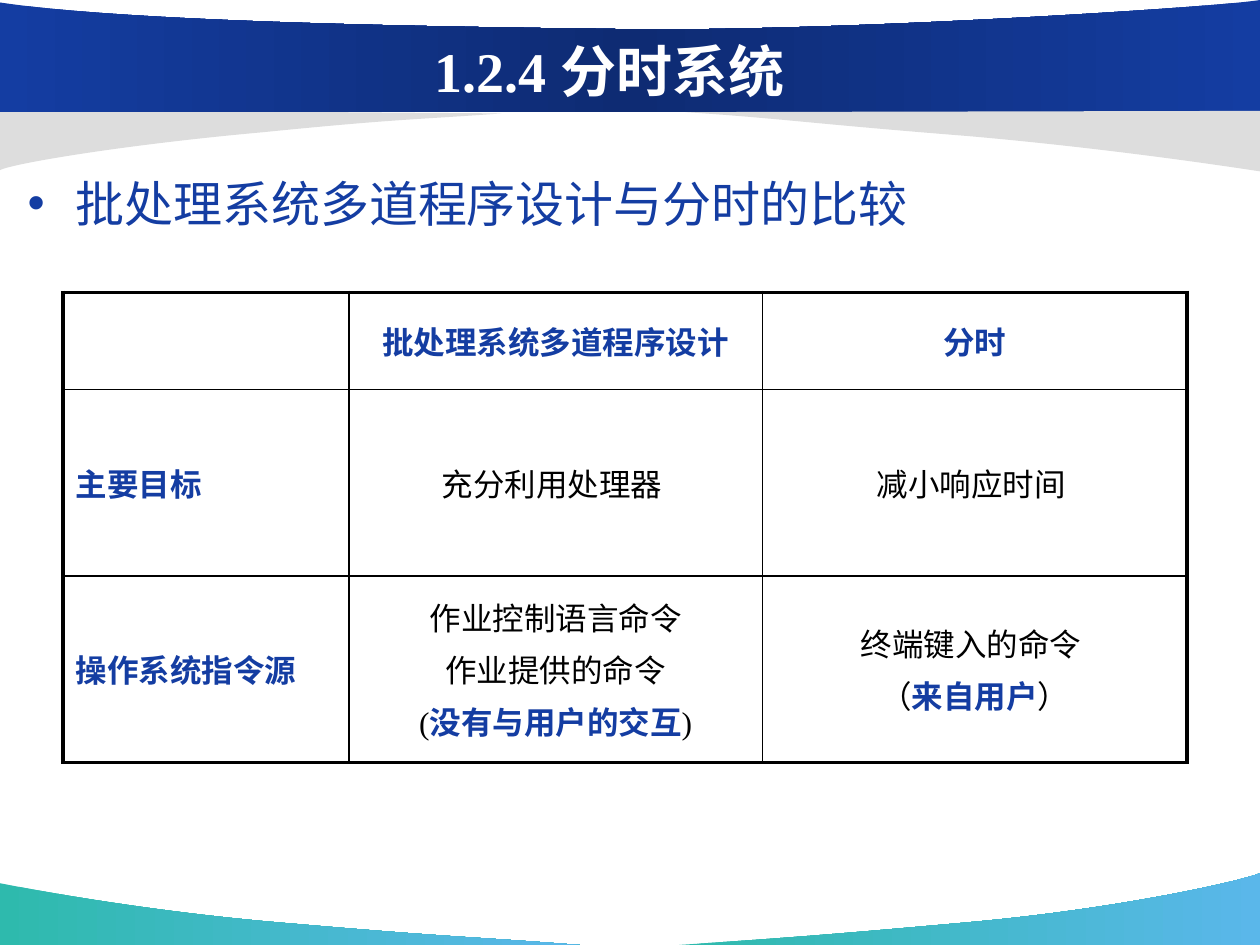
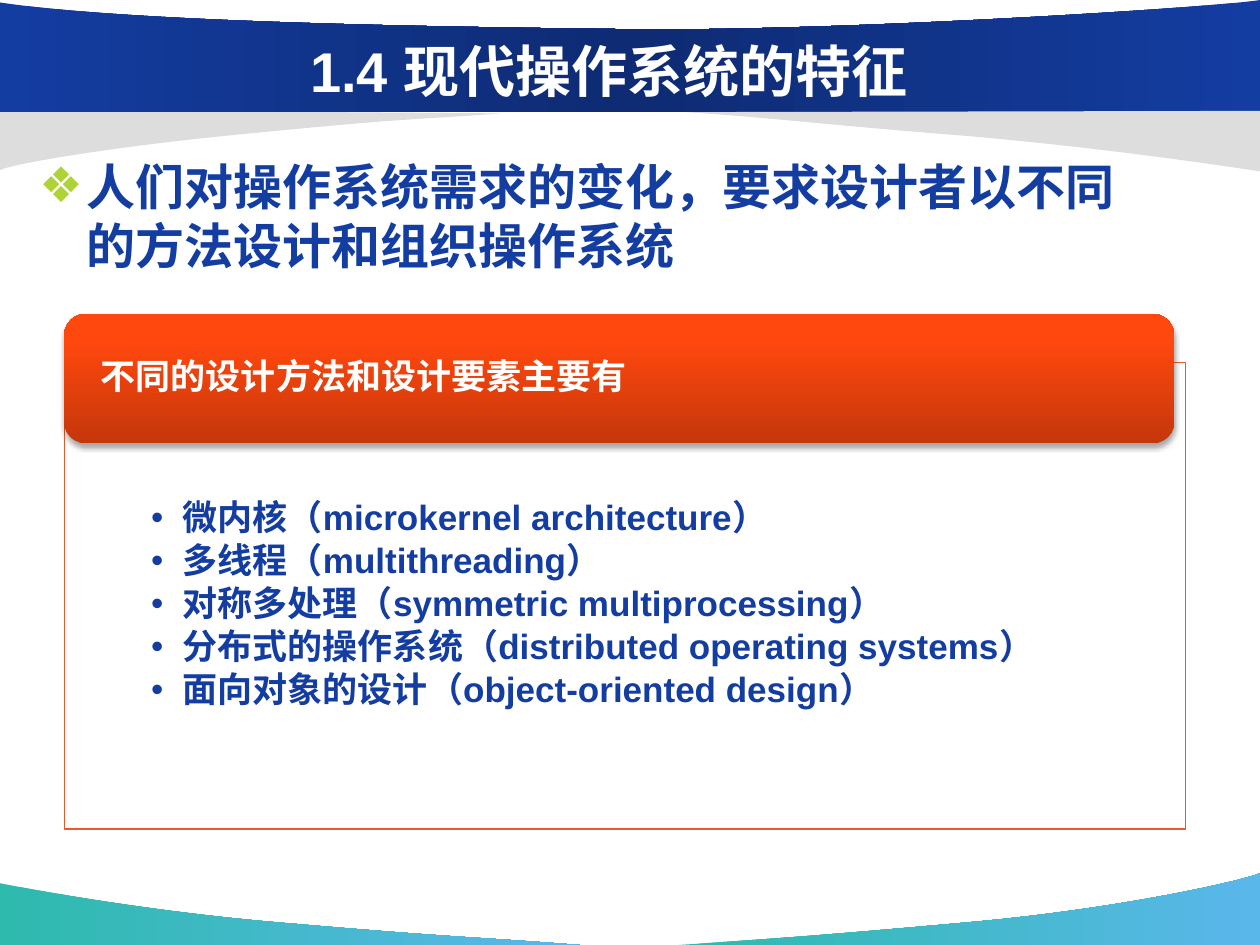
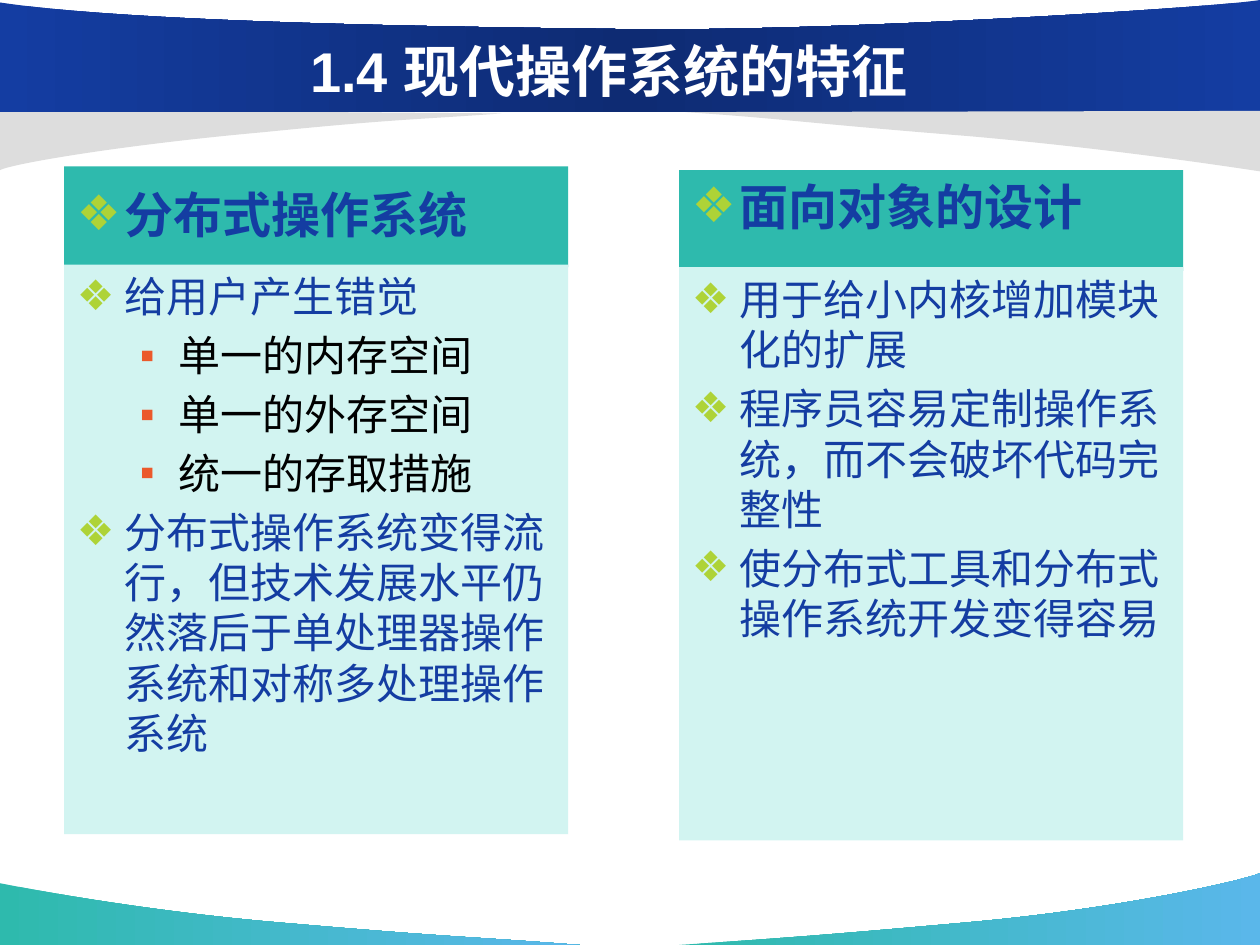
"""Build three lecture slides on operating systems with shared curved bands."""
from lxml.etree import SubElement
from pptx import Presentation
from pptx.dml.color import RGBColor
from pptx.enum.shapes import MSO_SHAPE as Shape
from pptx.enum.text import MSO_ANCHOR as Anchor, MSO_AUTO_SIZE as Fit, PP_ALIGN as Align
from pptx.oxml.ns import qn
from pptx.util import Inches, Pt

BLUE = RGBColor(0x14, 0x3D, 0xA2)
TEAL = RGBColor(0x2E, 0xBA, 0xAD)
SKY = RGBColor(0x5A, 0xB7, 0xEA)
MINT = RGBColor(0xD2, 0xF4, 0xF1)
GREY = RGBColor(0xDD, 0xDD, 0xDD)
LIME = RGBColor(0xAE, 0xD3, 0x37)
RUST = RGBColor(0xEB, 0x59, 0x2B)
EMBER = RGBColor(0xC5, 0x37, 0x0B)
FLAME = RGBColor(0xFF, 0x48, 0x0E)
GLARE = RGBColor(0xFF, 0x49, 0x10)
WHITE = RGBColor(0xFF, 0xFF, 0xFF)
BLACK = RGBColor(0, 0, 0)
SANS, SERIF = "Arial", "Times New Roman"

WAVE = [(0, TEAL, 100), (100, SKY, 100)]
DUSK = [(0, BLUE, 100), (50, BLUE, 46), (100, BLUE, 100)]
FIRE = [(0, EMBER, 100), (80, FLAME, 100), (100, GLARE, 100)]
BANDS = [
    ([(4.6, 7.5), (3.84, 7.44, 3.58, 7.44, 2.32, 7.33),
      (1.06, 7.23, 0.01, 7.01, 0, 7.01), (0, 7.5)], WAVE),
    ([(5.39, 7.5), (6.14, 7.45, 6.46, 7.43, 7.69, 7.32),
      (8.92, 7.21, 9.9, 6.98, 10, 6.93), (10, 7.5)], WAVE),
    ([(3.98, 0.9), (3.31, 0.95, 3.18, 0.94, 2.08, 1.05),
      (0.97, 1.15, 0.09, 1.3, 0, 1.35), (0, 0.87)], GREY),
    ([(0, 0.89), (10, 0.89), (10, 0), (9.64, 0.06, 6.53, 0.26, 4.87, 0.23),
      (3.21, 0.21, 1.01, 0.17, 0, 0.02)], DUSK),
    ([(5.44, 0.89), (6.2, 0.94, 6.42, 0.98, 7.68, 1.08),
      (8.94, 1.19, 9.99, 1.36, 10, 1.36), (10, 0.88)], GREY),
]

DOT = ("•", None, 0.38, 0.38)
NEAR = ("•", None, 0.25, 0.25)
GEM = ("❖", LIME, 0.38, 0.38)
BOX = ("▪", RUST, 0.81, 0.31)

TIMING = "1.2.4 分时系统"
TRAITS = "1.4 现代操作系统的特征"
TOPIC = "批处理系统多道程序设计与分时的比较"
COLS, ROWS = [2.27, 3.28, 3.37], [0.77, 1.48, 1.48]
GRID = [
    [[], ["*批处理系统多道程序设计*"], ["*分时*"]],
    [["*主要目标*"], ["充分利用处理器 "], ["减小响应时间 "]],
    [["*操作系统指令源*"],
     ["作业控制语言命令", "作业提供的命令", "(*没有与用户的交互*)"],
     ["终端键入的命令 ", "（*来自用户*）"]],
]
NEED = "人们对操作系统需求的变化，要求设计者以不同的方法设计和组织操作系统"
LEAD = "不同的设计方法和设计要素主要有"
WAYS = [
    "微内核（microkernel architecture）",
    "多线程（multithreading）",
    "对称多处理（symmetric multiprocessing）",
    "分布式的操作系统（distributed operating systems）",
    "面向对象的设计（object-oriented design）",
]
PANELS = [
    ((0.51, 1.32), (2.1, 4.52), 1.2, "分布式操作系统", [
        (GEM, "给用户产生错觉"),
        (BOX, "单一的内存空间"),
        (BOX, "单一的外存空间"),
        (BOX, "统一的存取措施"),
        (GEM, "分布式操作系统变得流行，但技术发展水平仍然落后于单处理器操作系统和对称多处理操作系统"),
    ]),
    ((5.39, 1.35), (2.12, 4.55), 1, "面向对象的设计", [
        (GEM, "用于给小内核增加模块化的扩展"),
        (GEM, "程序员容易定制操作系统，而不会破坏代码完整性"),
        (GEM, "使分布式工具和分布式操作系统开发变得容易"),
    ]),
]


def place(shape, left, top, width, height):
    shape.left, shape.top = Inches(left), Inches(top)
    shape.width, shape.height = Inches(width), Inches(height)


def paint(shape, paint_with, angle=0):
    shape.shadow.inherit = False
    shape.line.fill.background()
    if isinstance(paint_with, RGBColor):
        shape.fill.solid()
        shape.fill.fore_color.rgb = paint_with
        return
    shape.fill.gradient()
    shape.fill.gradient_angle = angle
    ramp = next(shape.element.iter(qn("a:gsLst")))
    ramp.clear()
    for pos, color, shade in paint_with:
        stop = SubElement(ramp, qn("a:gs"), pos=str(pos * 1000))
        tint = SubElement(stop, qn("a:srgbClr"), val=str(color))
        if shade < 100:
            SubElement(tint, qn("a:shade"), val=str(shade * 1000))


def bend(band, steps):
    left = min(step[-2] for step in steps)
    top = min(step[-1] for step in steps)
    for step, node in zip(steps[1:], list(band.element.iter(qn("a:lnTo")))):
        if len(step) == 2:
            continue
        node.tag = qn("a:cubicBezTo")
        for i in (0, 1):
            x, y = step[2 * i:2 * i + 2]
            knot = SubElement(node, qn("a:pt"), x=str(round((x - left) * 100)),
                              y=str(round((y - top) * 100)))
            node.insert(i, knot)


def add_bands(slide, master):
    for i, (steps, color) in enumerate(BANDS):
        ends = [(step[-2] * 100, step[-1] * 100) for step in steps]
        pen = slide.shapes.build_freeform(*ends[0], scale=Inches(0.01))
        pen.add_line_segments(ends[1:])
        band = pen.convert_to_shape()
        bend(band, steps)
        paint(band, color)
        master.shapes.element.insert(2 + i, band.element)


def style(font, size, color, bold, face):
    font.size, font.bold, font.name = Pt(size), bold, face
    font.color.rgb = color


def mark(para, bullet):
    char, color, left, hang = bullet
    props = para._p.get_or_add_pPr()
    props.set("marL", str(Inches(left)))
    props.set("indent", str(-Inches(hang)))
    if color is not None:
        SubElement(SubElement(props, qn("a:buClr")), qn("a:srgbClr"), val=str(color))
    SubElement(props, qn("a:buFont"), typeface=SANS)
    SubElement(props, qn("a:buChar"), char=char)


def write(shape, items, size, color=BLUE, bold=False, face=SANS, line=1,
          before=0.2, after=0, anchor=Anchor.TOP, align=Align.LEFT):
    frame = shape.text_frame
    frame.word_wrap, frame.auto_size = True, Fit.NONE
    frame.vertical_anchor = anchor
    for i, (bullet, text) in enumerate(items):
        para = frame.add_paragraph() if i else frame.paragraphs[0]
        para.text = text
        if bullet:
            mark(para, bullet)
        para.alignment, para.line_spacing = align, line
        para.space_before = Pt(size * before if i else 0)
        para.space_after = Pt(size * after)
        style(para.font, size, BLACK if bullet == BOX else color, bold, face)


def add_slide(deck, layout, title, face=SANS):
    slide = deck.slides.add_slide(deck.slide_layouts.get_by_name(layout))
    place(slide.shapes.title, 0.92, 0.25, 7.83, 0.62)
    write(slide.shapes.title, [(None, title)], 32, WHITE, True, face,
          anchor=Anchor.MIDDLE, align=Align.CENTER)
    return slide


def edge(cell, row, col):
    outer = {"L": col == 0, "R": col == len(COLS) - 1,
             "T": row == 0, "B": row == len(ROWS) - 1}
    props = cell._tc.get_or_add_tcPr()
    for i, (side, thick) in enumerate(outer.items()):
        line = SubElement(props, qn("a:ln" + side), w=str(Pt(2.25 if thick else 1)))
        SubElement(SubElement(line, qn("a:solidFill")), qn("a:srgbClr"), val=str(BLACK))
        props.insert(i, line)


def fill_cell(cell, lines, align):
    cell.vertical_anchor = Anchor.MIDDLE
    for i, text in enumerate(lines):
        para = cell.text_frame.add_paragraph() if i else cell.text_frame.paragraphs[0]
        para.alignment, para.space_before = align, Pt(3.6 if i else 0)
        for n, part in enumerate(text.split("*")):
            if part:
                run = para.add_run()
                run.text = part
                strong = n % 2 == 1
                style(run.font, 18, BLUE if strong else BLACK, strong, SERIF)


def add_grid(slide):
    size = [Inches(n) for n in (0.5, 2.32, sum(COLS), sum(ROWS))]
    table = slide.shapes.add_table(len(ROWS), len(COLS), *size).table
    table.first_row = table.horz_banding = False
    for col, width in zip(table.columns, COLS):
        col.width = Inches(width)
    for r, lines in enumerate(GRID):
        table.rows[r].height = Inches(ROWS[r])
        for c, text in enumerate(lines):
            cell = table.cell(r, c)
            cell.fill.background()
            edge(cell, r, c)
            fill_cell(cell, text, Align.CENTER if c else Align.LEFT)


def add_card(slide):
    card = slide.shapes.add_shape(Shape.RECTANGLE, 0, 0, 0, 0)
    place(card, 0.51, 2.88, 8.9, 3.7)
    paint(card, WHITE)
    card.line.color.rgb, card.line.width = RUST, Pt(0.75)
    frame = card.text_frame
    frame.margin_left = frame.margin_right = Inches(0.69)
    frame.margin_top = Inches(1.09)
    write(card, [(NEAR, way) for way in WAYS], 20, bold=True, line=0.9, before=0, after=0.15)

    head = slide.shapes.add_shape(Shape.ROUNDED_RECTANGLE, 0, 0, 0, 0)
    place(head, 0.51, 2.49, 8.81, 1.03)
    paint(head, FIRE, 90)
    glow = SubElement(next(head.element.iter(qn("a:effectLst"))), qn("a:outerShdw"),
                      blurRad=str(Pt(3.1)), dist=str(Pt(1.8)), dir="5400000", rotWithShape="0")
    tint = SubElement(glow, qn("a:srgbClr"), val=str(BLACK))
    SubElement(tint, qn("a:alpha"), val="35000")
    frame = head.text_frame
    frame.margin_left = frame.margin_right = Inches(0.24)
    frame.margin_top = frame.margin_bottom = 0
    write(head, [(None, LEAD)], 20, WHITE, True, line=0.9, anchor=Anchor.MIDDLE)


def add_panels(slide):
    for i, ((left, top), (low, tall), line, head, items) in enumerate(PANELS):
        cap, body = (slide.placeholders[2 * i + n] for n in (1, 2))
        place(cap, left, top, 4, 0.8)
        place(body, left, low, 4, tall)
        for part, color in ((cap, TEAL), (body, MINT)):
            part.fill.solid()
            part.fill.fore_color.rgb = color
        write(cap, [(GEM, head)], 28, bold=True, line=line)
        write(body, items, 24)


def main():
    deck = Presentation()
    deck.slide_width, deck.slide_height = Inches(10), Inches(7.5)

    slide = add_slide(deck, "Title and Content", TIMING, SERIF)
    add_bands(slide, deck.slide_master)
    place(slide.placeholders[1], 0.12, 1.23, 9.69, 6.06)
    write(slide.placeholders[1], [(DOT, TOPIC)], 28, face=SERIF, line=1.2)
    add_grid(slide)

    slide = add_slide(deck, "Title and Content", TRAITS)
    place(slide.placeholders[1], 0.21, 1.19, 8.75, 4.33)
    write(slide.placeholders[1], [(GEM, NEED)], 28, bold=True)
    add_card(slide)

    add_panels(add_slide(deck, "Comparison", TRAITS))
    deck.save("out.pptx")


if __name__ == "__main__":
    main()
